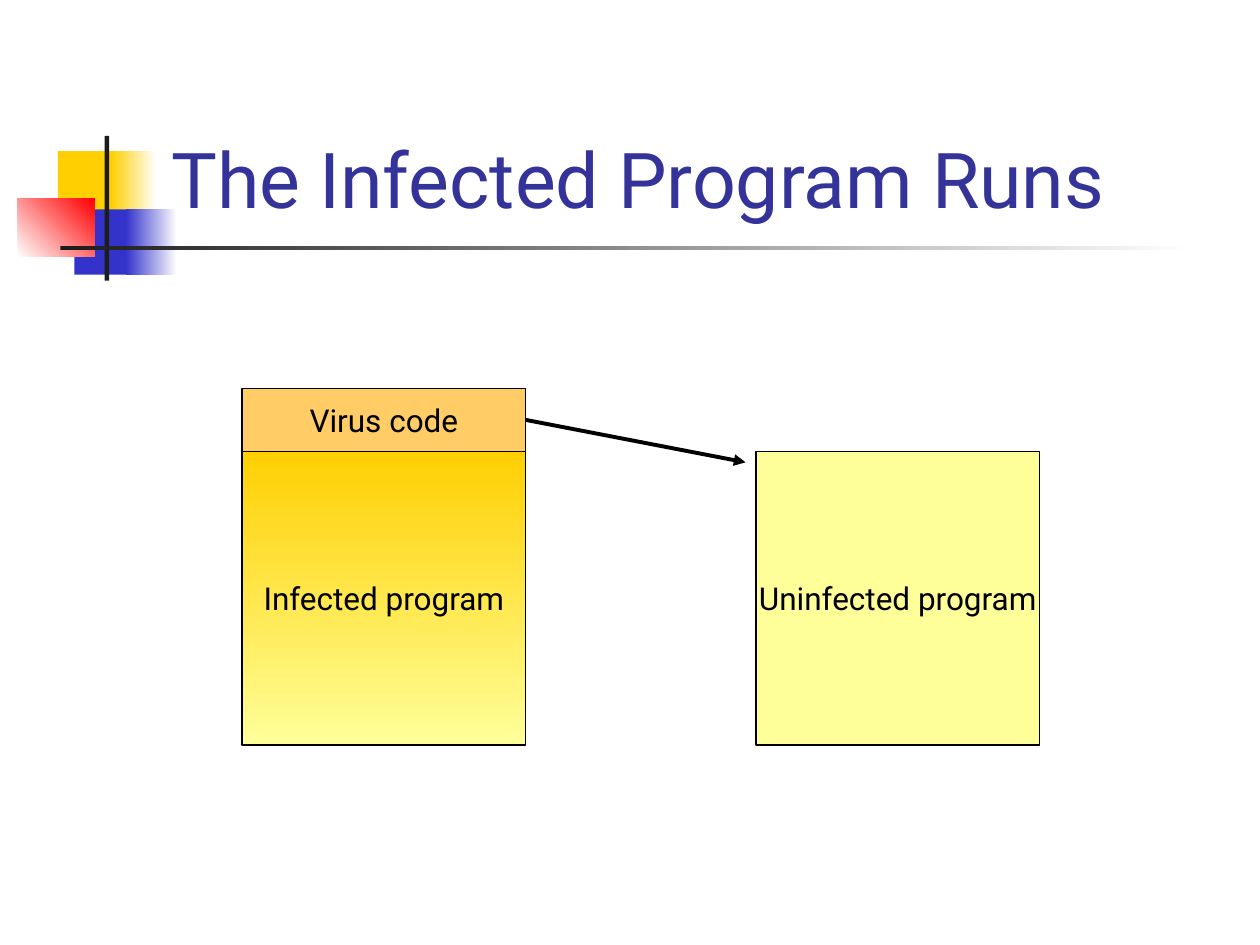
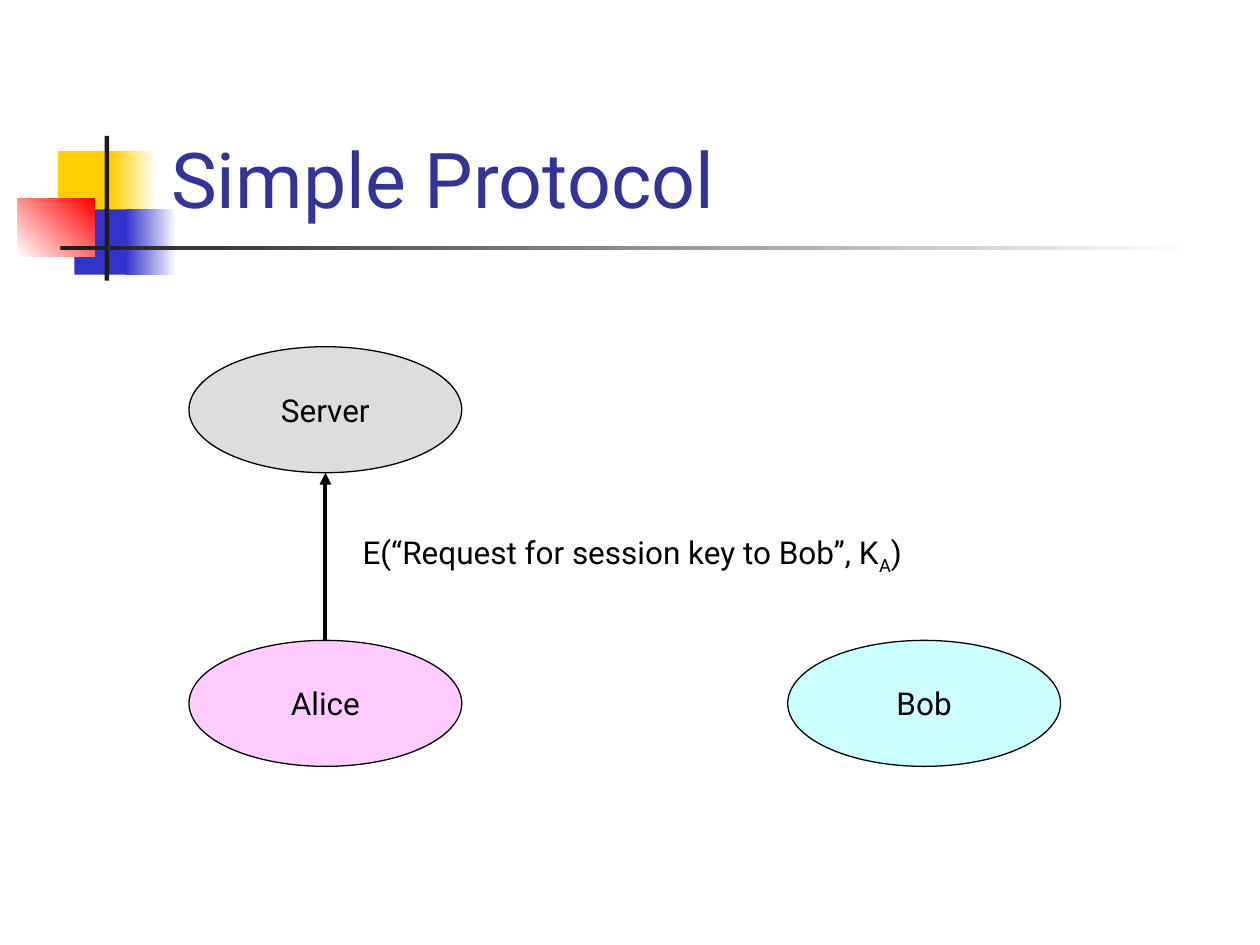
"""Builds two security slides: a virus spreading and a simple key protocol."""
from lxml.etree import SubElement
from pptx import Presentation
from pptx.dml.color import RGBColor
from pptx.enum.shapes import MSO_CONNECTOR, MSO_SHAPE
from pptx.enum.text import MSO_ANCHOR as Anchor, MSO_AUTO_SIZE as Fit, PP_ALIGN as Align
from pptx.oxml.ns import qn
from pptx.util import Cm, Pt

BLACK = RGBColor(0x00, 0x00, 0x00)
WHITE = RGBColor(0xFF, 0xFF, 0xFF)
INK = RGBColor(0x1C, 0x1C, 0x1C)
NAVY = RGBColor(0x33, 0x33, 0x99)
BLUE = RGBColor(0x33, 0x33, 0xCC)
RED = RGBColor(0xFF, 0x00, 0x00)
GOLD = RGBColor(0xFF, 0xCF, 0x01)
ORANGE = RGBColor(0xFF, 0xCC, 0x66)
YELLOW = RGBColor(0xFF, 0xFF, 0x99)
GREY = RGBColor(0xDD, 0xDD, 0xDD)
CYAN = RGBColor(0xCC, 0xFF, 0xFF)
PINK = RGBColor(0xFF, 0xCC, 0xFF)

TITLE_FONT = {"name": "Roboto", "size": Pt(44)}
BODY_FONT = {"name": "Roboto", "size": Pt(18)}
TITLE_BOX = {"left": Cm(3.2), "top": Cm(0.58), "width": Cm(21.64), "height": Cm(4.06)}

MOTIF = [
    ((1.17, 3.05, 1.22, 1.32), GOLD),
    ((2.24, 3.05, 0.91, 1.32), (GOLD, WHITE, 0)),
    ((1.5, 4.22, 1.17, 1.32), BLUE),
    ((2.54, 4.22, 1.02, 1.32), (BLUE, WHITE, 0)),
    ((0.36, 4.01, 1.55, 1.17), (WHITE, RED, 45)),
    ((2.11, 2.74, 0.09, 2.92), INK),
    ((1.22, 4.95, 22.86, 0.09), (INK, WHITE, 0)),
]

PROGRAM_W, PROGRAM_H, VIRUS_H = 5.72, 5.92, 1.27
PROGRAM_Y, INFECTED_X, UNINFECTED_X = 9.1, 4.88, 15.24
PROGRAMS = [
    ("Infected program", (INFECTED_X, PROGRAM_Y, PROGRAM_W, PROGRAM_H), (GOLD, YELLOW, 270)),
    ("Uninfected program", (UNINFECTED_X, PROGRAM_Y, PROGRAM_W, PROGRAM_H), YELLOW),
    ("Virus code", (INFECTED_X, PROGRAM_Y - VIRUS_H, PROGRAM_W, VIRUS_H), ORANGE),
]
INFECTION_END = (15.03, 9.32)

PARTY_W, PARTY_H = 5.5, 2.54
LEFT_X, RIGHT_X, SERVER_Y, PEER_Y = 3.81, 15.88, 6.99, 12.91
PARTIES = [
    ("Server", (LEFT_X, SERVER_Y, PARTY_W, PARTY_H), GREY),
    ("Bob", (RIGHT_X, PEER_Y, PARTY_W, PARTY_H), CYAN),
    ("Alice", (LEFT_X, PEER_Y, PARTY_W, PARTY_H), PINK),
]
REQUEST = ["E(“Request for session key to Bob”, K", "A", ")"]
REQUEST_BOX = (7.06, 10.62, 11.81, 1.12)


def style(font, values, color):
    for name, value in values.items():
        setattr(font, name, value)
    font.color.rgb = color


def add_block(slide, kind, box, fill):
    s = slide.shapes.add_shape(kind, *map(Cm, box))
    s.shadow.inherit = False
    s.line.fill.background()
    if isinstance(fill, RGBColor):
        s.fill.solid()
        s.fill.fore_color.rgb = fill
    else:
        *colors, angle = fill
        s.fill.gradient()
        s.fill.gradient_angle = angle
        for stop, color in zip(s.fill.gradient_stops, colors):
            stop.color.rgb = color
    return s


def add_node(slide, kind, text, box, fill):
    s = add_block(slide, kind, box, fill)
    s.line.color.rgb = BLACK
    s.line.width = Pt(0.75)
    tf = s.text_frame
    tf.word_wrap = False
    tf.vertical_anchor = Anchor.MIDDLE
    p = tf.paragraphs[0]
    p.alignment = Align.CENTER
    r = p.add_run()
    r.text = text
    style(r.font, BODY_FONT, BLACK)
    return s


def add_arrow(slide, source, side, end):
    c = slide.shapes.add_connector(MSO_CONNECTOR.STRAIGHT, 0, 0, *map(Cm, end))
    c.begin_connect(source, side)
    c.line.color.rgb = BLACK
    c.line.width = Pt(2.25)
    SubElement(c.line._get_or_add_ln(), qn("a:tailEnd"), type="triangle")
    SubElement(c.element.spPr, qn("a:effectLst"))


def add_motif(slide, layout):
    for i, (box, fill) in enumerate(MOTIF):
        s = add_block(slide, MSO_SHAPE.RECTANGLE, box, fill)
        s.element.nvSpPr.cNvPr.set("id", str(20 + i))
        layout.shapes.element.append(s.element)


def add_slide(prs, layout, title):
    slide = prs.slides.add_slide(layout)
    s = slide.shapes.title
    for name, value in TITLE_BOX.items():
        setattr(s, name, value)
    tf = s.text_frame
    tf.auto_size = Fit.NONE
    tf.vertical_anchor = Anchor.BOTTOM
    p = tf.paragraphs[0]
    p.alignment = Align.LEFT
    r = p.add_run()
    r.text = title
    style(r.font, TITLE_FONT, NAVY)
    return slide


def add_request(slide):
    tf = slide.shapes.add_textbox(*map(Cm, REQUEST_BOX)).text_frame
    tf.word_wrap = False
    tf.auto_size = Fit.SHAPE_TO_FIT_TEXT
    p = tf.paragraphs[0]
    for text in REQUEST:
        r = p.add_run()
        r.text = text
        style(r.font, BODY_FONT, BLACK)
    p.runs[1]._r.get_or_add_rPr().set("baseline", "-25000")


def main():
    prs = Presentation()
    prs.slide_width, prs.slide_height = Cm(25.4), Cm(19.05)
    layout = prs.slide_layouts.get_by_name("Title Only")

    slide = add_slide(prs, layout, "The Infected Program Runs")
    add_motif(slide, layout)
    nodes = {n[0]: add_node(slide, MSO_SHAPE.RECTANGLE, *n) for n in PROGRAMS}
    add_arrow(slide, nodes["Virus code"], 3, INFECTION_END)

    slide = add_slide(prs, layout, "Simple Protocol")
    nodes = {n[0]: add_node(slide, MSO_SHAPE.OVAL, *n) for n in PARTIES}
    add_request(slide)
    add_arrow(slide, nodes["Alice"], 0, (LEFT_X + PARTY_W / 2, SERVER_Y + PARTY_H))
    prs.save("out.pptx")


if __name__ == "__main__":
    main()
